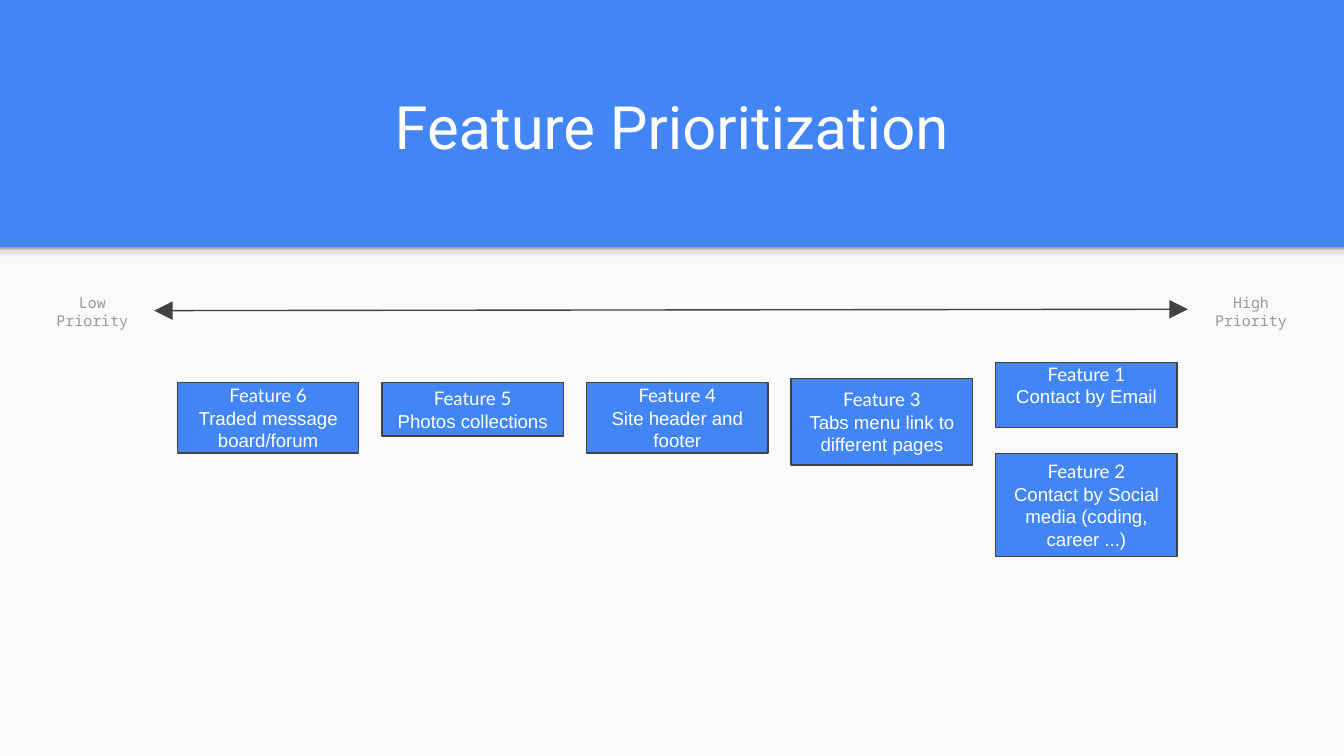
from copy import deepcopy

from lxml import etree
from pptx import Presentation
from pptx.dml.color import RGBColor
from pptx.enum.shapes import MSO_CONNECTOR, MSO_SHAPE
from pptx.enum.text import MSO_ANCHOR, MSO_AUTO_SIZE, PP_ALIGN
from pptx.oxml.ns import qn
from pptx.util import Pt

# Content
TITLE = "Feature Prioritization"
# name, description, column, top, height
FEATURES = [
    ("Feature 6", "Traded message board/forum", 0, 205, 37.7),
    ("Feature 5", "Photos collections", 1, 205, 28.6),
    ("Feature 4", "Site header and footer", 2, 205, 37.7),
    ("Feature 3", "Tabs menu link to different pages", 3, 202.7, 46.5),
    ("Feature 1", "Contact by Email", 4, 194.2, 34.8),
    ("Feature 2", "Contact by Social media (coding, career ...)", 4, 243, 55.2),
]
# text, left, width
AXIS_LABELS = [("Low Priority", 16.4, 66.2), ("High Priority", 636.4, 67.6)]
SHADOW_STOPS = [(0, "F9F9F9"), (0.36, "F9F9F9"), (0.8, "DEDEDE"), (1, "999999")]

# Layout and colours
WIDTH, HEIGHT = 720, 405
PANEL_TOP, SHADOW_HEIGHT = 132.5, 8.6
FIRST_LEFT, COLUMN_STEP, BOX_WIDTH = 95, 109.6, 97.2
AXIS_START, AXIS_END = (82.6, 166.4), (636.4, 165.7)
INSET = 7.2
BLUE, DARK, GREY, PALE, WHITE = "4285F4", "424242", "999999", "FAFAFA", "FFFFFF"


def color(value):
    return RGBColor.from_string(value)


def place(left, top, width, height):
    return Pt(left), Pt(top), Pt(width), Pt(height)


def add_rectangle(left, top, width, height):
    shape = slide.shapes.add_shape(MSO_SHAPE.RECTANGLE, *place(left, top, width, height))
    shape.shadow.inherit = False
    shape.line.fill.background()
    return shape


def set_text(shape, lines, anchor=MSO_ANCHOR.MIDDLE):
    """Fill a shape with centred (text, font, size, colour) lines."""
    frame = shape.text_frame
    frame.text = "\n".join(line[0] for line in lines)
    frame.word_wrap = True
    frame.auto_size = MSO_AUTO_SIZE.NONE
    frame.vertical_anchor = anchor
    frame.margin_left = frame.margin_right = Pt(INSET)
    frame.margin_top = frame.margin_bottom = Pt(INSET)
    for paragraph, (_, font_name, size, value) in zip(frame.paragraphs, lines):
        paragraph.alignment = PP_ALIGN.CENTER
        font = paragraph.runs[0].font
        font.name, font.size = font_name, Pt(size)
        font.color.rgb = color(value)


presentation = Presentation()
presentation.slide_width, presentation.slide_height = Pt(WIDTH), Pt(HEIGHT)
slide = presentation.slides.add_slide(presentation.slide_layouts[5])

# Background, pale panel and the shadow along its top edge
slide.background.fill.solid()
slide.background.fill.fore_color.rgb = color(BLUE)
panel = add_rectangle(0, PANEL_TOP, WIDTH, HEIGHT - PANEL_TOP)
panel.fill.solid()
panel.fill.fore_color.rgb = color(PALE)

shadow = add_rectangle(0, PANEL_TOP, WIDTH, SHADOW_HEIGHT)
shadow.fill.gradient()
shadow.fill.gradient_angle = 90
stop_list = shadow._element.spPr.find(qn("a:gradFill")).find(qn("a:gsLst"))
while len(stop_list) < len(SHADOW_STOPS):
    stop_list.append(deepcopy(stop_list[0]))
for stop, (position, value) in zip(shadow.fill.gradient_stops, SHADOW_STOPS):
    stop.position = position
    stop.color.rgb = color(value)

# Title
title = slide.shapes.title
title.left, title.top, title.width, title.height = place(37.4, 33.1, 645.1, 60.5)
set_text(title, [(TITLE, "Roboto", 32, WHITE)], MSO_ANCHOR.BOTTOM)

# Priority axis
axis = slide.shapes.add_connector(
    MSO_CONNECTOR.STRAIGHT, *(Pt(value) for value in AXIS_START + AXIS_END))
axis.line.color.rgb = color(DARK)
axis.line.width = Pt(0.75)
for end in ("a:headEnd", "a:tailEnd"):
    etree.SubElement(axis.line._get_or_add_ln(), qn(end), type="triangle", w="lg", len="lg")
etree.SubElement(axis._element.spPr, qn("a:effectLst"))
for text, left, width in AXIS_LABELS:
    label = slide.shapes.add_textbox(*place(left, 154.1, width, 25.9))
    set_text(label, [(text, "Noto Sans Mono", 8, GREY)])

# Feature boxes
for name, description, column, top, height in FEATURES:
    box = add_rectangle(FIRST_LEFT + column * COLUMN_STEP, top, BOX_WIDTH, height)
    box.fill.solid()
    box.fill.fore_color.rgb = color(BLUE)
    box.line.color.rgb = color(DARK)
    box.line.width = Pt(0.75)
    lines = [(name, "Lato", 10, WHITE), (description, "Arial", 10, WHITE)]
    if name == "Feature 1":  # text sits against the top edge
        set_text(box, lines, MSO_ANCHOR.TOP)
        box.text_frame.margin_top = Pt(0)
    else:
        set_text(box, lines)

presentation.save("out.pptx")
